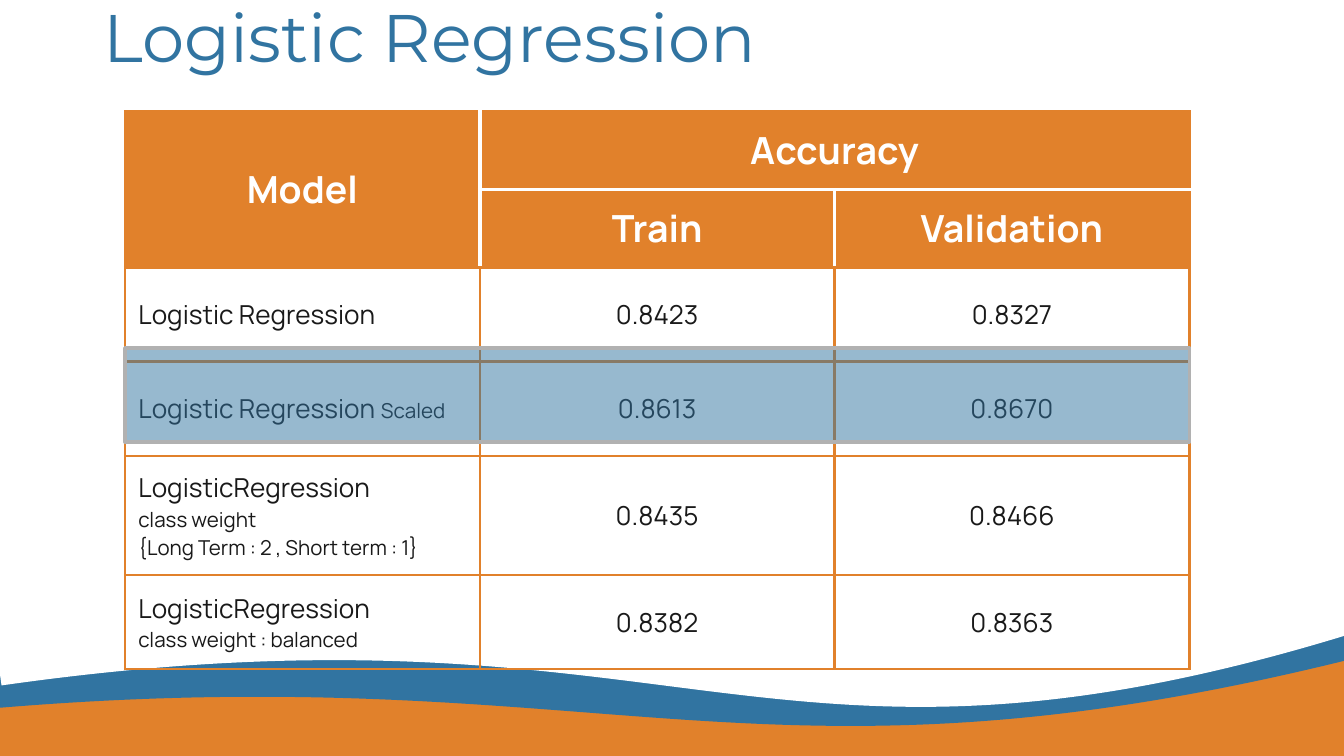
from lxml.etree import SubElement
from pptx import Presentation
from pptx.dml.color import RGBColor
from pptx.enum.shapes import MSO_SHAPE
from pptx.enum.text import MSO_ANCHOR, MSO_AUTO_SIZE, PP_ALIGN
from pptx.oxml.ns import qn
from pptx.util import Inches, Pt

ORANGE, BLUE, WHITE, INK, GREY = "E1812B", "3174A1", "FFFFFF", "191919", "B1B1B1"
BODY_SIZE, NOTE_SIZE, HEADER_SIZE = 14, 11, 20
SLIDE_WIDTH = 10
SLIDE_HEIGHT = SLIDE_WIDTH * 9 / 16

# Each model is a list of lines, each line a list of (text, size) runs.
RESULTS = [
    ([[("Logistic Regression", BODY_SIZE)]], "0.8423", "0.8327"),
    ([[("Logistic Regression ", BODY_SIZE), ("Scaled", NOTE_SIZE)]], "0.8613", "0.8670"),
    ([[("LogisticRegression", BODY_SIZE)], [("class weight", NOTE_SIZE)],
      [("{Long Term : 2 , Short term : 1}", NOTE_SIZE)]], "0.8435", "0.8466"),
    ([[("LogisticRegression", BODY_SIZE)],
      [("class weight : balanced", NOTE_SIZE)]], "0.8382", "0.8363"),
]
HEADERS = {(0, 0): "Model", (0, 1): "Accuracy", (1, 1): "Train", (1, 2): "Validation"}
HEADER_ROWS, COLUMNS = 2, 3
WHITE_VERTICALS = {(0, 1), (1, 1), (1, 2)}
WHITE_HORIZONTALS = {(1, 1), (1, 2)}


def rgb(value):
    return RGBColor.from_string(value)


class SlideBuilder:
    """Holds the page being built and its style."""

    heading_font = "Montserrat"
    body_font = "Manrope"
    margin = Inches(0.1)

    def __init__(self, page):
        self.page = page

    def background(self, color):
        fill = self.page.background.fill
        fill.solid()
        fill.fore_color.rgb = rgb(color)

    def span(self, para, text, size, color, font, bold=False):
        span = para.add_run()
        span.text = text
        span.font.size = Pt(size)
        span.font.name = font
        span.font.bold = bold
        span.font.color.rgb = rgb(color)

    def shape(self, kind, left, top, width, height, color):
        shape = self.page.shapes.add_shape(
            kind, Inches(left), Inches(top), Inches(width), Inches(height))
        shape.shadow.inherit = False
        shape.fill.solid()
        shape.fill.fore_color.rgb = rgb(color)
        shape.line.fill.background()
        return shape

    def wave(self, left, top, width, height, color):
        wave = self.shape(MSO_SHAPE.FLOWCHART_DOCUMENT, left, top, width, height, color)
        wave.rotation = 351.9
        wave.element.spPr.find(qn("a:xfrm")).set("flipH", "1")

    def highlight(self, left, top, width, height):
        box = self.shape(MSO_SHAPE.RECTANGLE, left, top, width, height, BLUE)
        color = box.element.spPr.find(qn("a:solidFill"))[0]
        SubElement(color, qn("a:alpha"), val="50000")
        box.line.color.rgb = rgb(GREY)
        box.line.width = Pt(2)

    def title(self, text, left, top, width, height):
        box = self.page.shapes.title
        box.left, box.top = Inches(left), Inches(top)
        box.width, box.height = Inches(width), Inches(height)
        frame = box.text_frame
        frame.auto_size = MSO_AUTO_SIZE.NONE
        frame.vertical_anchor = MSO_ANCHOR.MIDDLE
        frame.margin_left = frame.margin_right = self.margin
        frame.margin_top = frame.margin_bottom = self.margin
        para = frame.paragraphs[0]
        para.alignment = PP_ALIGN.LEFT
        self.span(para, text, 36, BLUE, self.heading_font)
        # Bring the title in front of the waves.
        self.page.shapes._spTree.append(box.element)

    def borders(self, cell, row, column):
        edges = {
            "L": (row, column) in WHITE_VERTICALS,
            "R": (row, column + 1) in WHITE_VERTICALS,
            "T": (row, column) in WHITE_HORIZONTALS,
            "B": (row + 1, column) in WHITE_HORIZONTALS,
        }
        properties = cell._tc.get_or_add_tcPr()
        for side, is_white in edges.items():
            width = Pt(2.25 if is_white else 1.5)
            line = SubElement(properties, qn(f"a:ln{side}"), w=str(width))
            fill = SubElement(line, qn("a:solidFill"))
            SubElement(fill, qn("a:srgbClr"), val=WHITE if is_white else ORANGE)

    def cell_text(self, cell, lines, color, alignment, bold=False):
        frame = cell.text_frame
        for index, line in enumerate(lines):
            para = frame.add_paragraph() if index else frame.paragraphs[0]
            para.alignment = alignment
            for text, size in line:
                self.span(para, text, size, color, self.body_font, bold)

    def table(self, left, top, column_width, header_height, row_height):
        row_count = HEADER_ROWS + len(RESULTS)
        height = HEADER_ROWS * header_height + len(RESULTS) * row_height
        table = self.page.shapes.add_table(
            row_count, COLUMNS, Inches(left), Inches(top),
            Inches(COLUMNS * column_width), Inches(height)).table
        table.first_row = table.horz_banding = False
        for column in table.columns:
            column.width = Inches(column_width)
        for row, table_row in enumerate(table.rows):
            is_header = row < HEADER_ROWS
            table_row.height = Inches(header_height if is_header else row_height)
            for column, cell in enumerate(table_row.cells):
                self.borders(cell, row, column)
                cell.vertical_anchor = MSO_ANCHOR.MIDDLE
                cell.margin_left = cell.margin_right = self.margin
                cell.margin_top = cell.margin_bottom = self.margin
                if is_header:
                    cell.fill.solid()
                    cell.fill.fore_color.rgb = rgb(ORANGE)
                else:
                    cell.fill.background()

        table.cell(0, 0).merge(table.cell(1, 0))
        table.cell(0, 1).merge(table.cell(0, 2))
        for (row, column), text in HEADERS.items():
            self.cell_text(table.cell(row, column), [[(text, HEADER_SIZE)]],
                           WHITE, PP_ALIGN.CENTER, bold=True)
        for row, (model, *scores) in enumerate(RESULTS, HEADER_ROWS):
            self.cell_text(table.cell(row, 0), model, INK, PP_ALIGN.LEFT)
            for column, score in enumerate(scores, 1):
                self.cell_text(table.cell(row, column), [[(score, BODY_SIZE)]],
                               INK, PP_ALIGN.CENTER)


def main():
    deck = Presentation()
    deck.slide_width, deck.slide_height = Inches(SLIDE_WIDTH), Inches(SLIDE_HEIGHT)
    title_only = deck.slide_layouts[5]
    builder = SlideBuilder(deck.slides.add_slide(title_only))
    builder.background(ORANGE)
    builder.wave(-2.08, -0.7, 13.55, 6.52, BLUE)
    builder.wave(-0.32, -0.88, 10.94, 6.52, WHITE)
    builder.title("Logistic Regression", 0.67, 0, 8.43, 0.53)
    builder.table(0.93, 0.83, column_width=2.64, header_height=0.52, row_height=0.7)
    builder.highlight(0.93, 2.59, 7.92, 0.7)
    deck.save("out.pptx")


if __name__ == "__main__":
    main()
